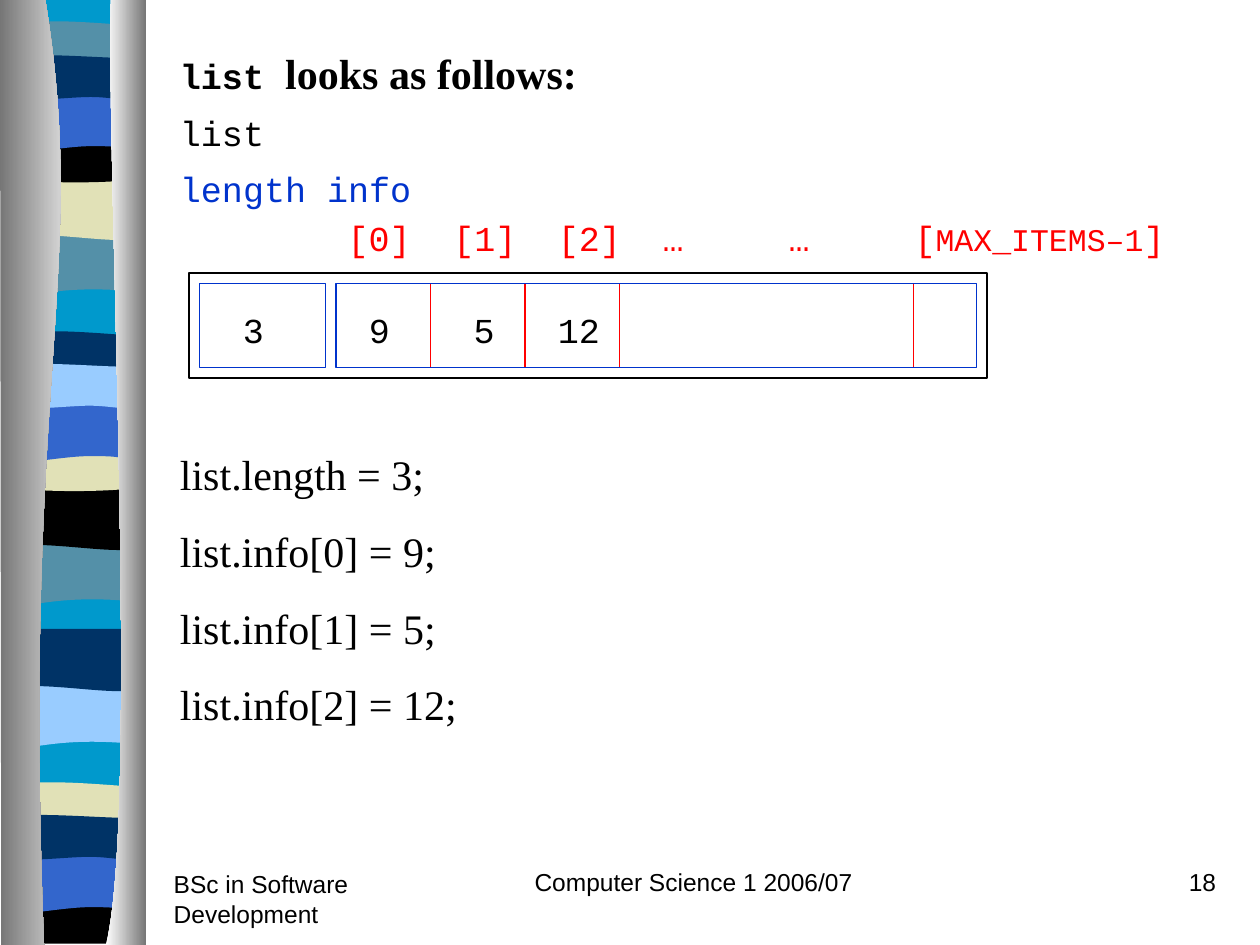
from lxml.etree import SubElement
from pptx import Presentation
from pptx.dml.color import RGBColor
from pptx.enum.shapes import MSO_CONNECTOR, MSO_SHAPE
from pptx.enum.text import MSO_ANCHOR, PP_ALIGN
from pptx.oxml.ns import qn
from pptx.util import Inches, Pt

BLACK = RGBColor(0x00, 0x00, 0x00)
WHITE = RGBColor(0xFF, 0xFF, 0xFF)
RED = RGBColor(0xFF, 0x00, 0x00)
INK_BLUE = RGBColor(0x00, 0x33, 0xCC)
CYAN = RGBColor(0x00, 0x99, 0xCC)
TEAL = RGBColor(0x54, 0x90, 0xA8)
CREAM = RGBColor(0xE1, 0xE1, 0xB7)
BLUE = RGBColor(0x33, 0x66, 0xCC)
NAVY = RGBColor(0x00, 0x33, 0x66)
SKY = RGBColor(0x99, 0xCC, 0xFF)
GREY = RGBColor(0x76, 0x76, 0x76)

MONO, SERIF, SANS = "Courier New", "Times New Roman", "Arial"

# Outlines in inches: two numbers are a corner, six are a Bezier curve.
BANDS = {
    "swell": [(1.14, 1.85), (1.14, 2.32), (0.39, 2.24, 0.24, 2.4, 0.06, 2.32), (0.06, 1.85)],
    "wave": [(1.14, 1.41), (1.14, 1.88), (0.96, 1.96, 0.39, 1.82, 0.06, 1.88), (0.06, 1.41)],
    "thin": [(1.14, 0.21), (1.14, 0.45), (0.96, 0.5, 0.24, 0.5, 0.06, 0.45), (0.06, 0.21),
             (0.13, 0.16, 0.29, 0.17, 0.47, 0.17), (0.65, 0.17, 1, 0.2, 1.14, 0.21)],
    "bowl": [(1.14, 1.08), (1.14, 1.41), (0.96, 1.46, 0.24, 1.46, 0.06, 1.41), (0.06, 1.08),
             (0.72, 1.13, 0.91, 1.08, 1.14, 1.08)],
    "arch": [(1.14, 0.74), (1.14, 1.22), (0.97, 1.16, 0.9, 1.16, 0.72, 1.16),
             (0.54, 1.16, 0.22, 1.22, 0.06, 1.22), (0.06, 0.74)],
    "ripple": [(1.14, 0.46), (1.14, 0.77), (1.07, 0.82, 0.9, 0.77, 0.72, 0.77),
               (0.54, 0.77, 0.17, 0.82, 0.06, 0.77), (0.06, 0.46),
               (0.21, 0.41, 0.79, 0.46, 0.97, 0.46)],
    "foot": [(1.13, 1.08), (1.14, 1.45), (0.07, 1.45), (0.05, 1.08),
             (0.72, 1.13, 0.91, 1.08, 1.13, 1.08)],
}
# Each band: outline, shift down, colour; from back to front
BAND_STACK = [
    ("swell", 0, TEAL), ("wave", 0, CREAM), ("thin", 0, TEAL),
    ("bowl", 0, BLACK), ("arch", 0, BLUE), ("ripple", 0, NAVY),
    ("swell", 2.46, TEAL), ("wave", 2.46, BLACK), ("thin", 2.46, NAVY),
    ("bowl", 2.45, CREAM), ("arch", 2.46, BLUE), ("ripple", 2.45, SKY),
    ("swell", 3.59, SKY), ("wave", 3.58, NAVY), ("thin", 6.04, CREAM),
    ("foot", 6.04, BLACK), ("arch", 6.04, BLUE), ("ripple", 6.03, NAVY),
]
LEFT_EDGE = [(0.36, 0), (0.71, 2.16, 0.17, 2.96, 0.35, 7.5), (0.01, 7.5), (0, 0)]
RIGHT_EDGE = [(0.88, 0), (0.84, 1.25, 1.11, 6.46, 0.84, 7.5), (1.16, 7.5), (1.16, 0)]


def add_outline(page, outline, *colors, right=0, down=0):
    """Filled outline; two colours make a gradient from left to right."""
    points = [(Inches(x + right), Inches(y + down))
              for part in outline for x, y in zip(part[::2], part[1::2])]
    builder = page.shapes.build_freeform(*points[0], scale=1.0)
    builder.add_line_segments(points[1:], close=True)
    shape = builder.convert_to_shape()
    # Join each curve's three points into one Bezier segment
    segments = iter(list(shape._element.iter(qn("a:lnTo"))))
    for part in outline[1:]:
        first = next(segments)
        if len(part) == 6:
            first.tag = qn("a:cubicBezTo")
            for extra in (next(segments), next(segments)):
                first.append(extra[0])
                extra.getparent().remove(extra)
    shape.shadow.inherit = False
    shape.line.fill.background()
    if len(colors) == 1:
        shape.fill.solid()
        shape.fill.fore_color.rgb = colors[0]
    else:
        shape.fill.gradient()
        shape.fill.gradient_angle = 0
        for stop, color in zip(shape.fill.gradient_stops, colors):
            stop.color.rgb = color


def write_para(para, *spans, font=SANS, size=14, color=BLACK, bold=False,
               before=0, spacing=1.0, align=PP_ALIGN.LEFT, tabs=()):
    """Each span is a text, or a text with changes to the format."""
    para.alignment = align
    para.space_before = Pt(before)
    para.line_spacing = spacing
    if tabs:
        stops = SubElement(para._p.get_or_add_pPr(), qn("a:tabLst"))
        for tab in tabs:
            SubElement(stops, qn("a:tab"), pos=str(Inches(tab)), algn="l")
    for item in spans:
        text, changes = (item, {}) if isinstance(item, str) else item
        look = {"font": font, "size": size, "color": color, **changes}
        span = para.add_run()
        span.text = text
        span.font.name = look["font"]
        span.font.size = Pt(look["size"])
        span.font.bold = bold
        span.font.color.rgb = look["color"]


def add_text(page, left, top, width, height):
    """Empty wrapped text box; returns its text frame."""
    box = page.shapes.add_textbox(Inches(left), Inches(top), Inches(width), Inches(height))
    frame = box.text_frame
    frame.word_wrap = True
    frame.vertical_anchor = MSO_ANCHOR.TOP
    return frame


def twelfths(*counts):
    """Lengths on the diagram's grid of a twelfth of an inch."""
    return [Inches(count / 12) for count in counts]


def add_frame(page, left, top, width, height, color):
    shape = page.shapes.add_shape(MSO_SHAPE.RECTANGLE, *twelfths(left, top, width, height))
    shape.shadow.inherit = False
    shape.fill.background()
    shape.line.color.rgb = color
    shape.line.width = Pt(0.75)


def add_divider(page, x, top, bottom):
    line = page.shapes.add_connector(MSO_CONNECTOR.STRAIGHT, *twelfths(x, top, x, bottom))
    line.line.color.rgb = RED
    line.line.width = Pt(0.75)
    SubElement(line._element.spPr, qn("a:effectLst"))


def main():
    deck = Presentation()
    deck.slide_width, deck.slide_height = Inches(10), Inches(7.5)
    page = deck.slides.add_slide(deck.slide_layouts[6])

    # Ribbon on the left
    add_outline(page, [(1.14, 0), (1.14, 7.47), (0.06, 7.47), (0.06, 0)], CYAN)
    for name, down, color in BAND_STACK:
        add_outline(page, BANDS[name], color, right=-0.01 if down else 0, down=down)
    add_outline(page, LEFT_EDGE, GREY, WHITE)
    add_outline(page, RIGHT_EDGE, WHITE, GREY)

    # Footer
    for left, top, width, align, text in (
            (1.28, 6.85, 2.08, PP_ALIGN.LEFT, "BSc in Software Development"),
            (3.92, 6.83, 3.17, PP_ALIGN.CENTER, "Computer Science 1 2006/07"),
            (7.67, 6.83, 2.08, PP_ALIGN.RIGHT, "18")):
        write_para(add_text(page, left, top, width, 0.5).paragraphs[0], text, align=align)

    # Heading, member names, array indexes and values
    body = add_text(page, 1.33, 0.33, 8.25, 6.56)
    code = {"font": MONO, "size": 20}
    write_para(body.paragraphs[0], ("list ", code), "looks as follows:",
               font=SERIF, size=24, bold=True)
    write_para(body.add_paragraph(), "list", before=12.5, spacing=0.8, **code)
    write_para(body.add_paragraph(), "length info", before=12.5, spacing=0.8,
               color=INK_BLUE, **code)
    write_para(body.add_paragraph(), "\t[0]\t[1]\t[2]\t…\t…\t[",
               ("MAX_ITEMS–1", {"size": 18}), "]", before=12.5, spacing=0.6,
               color=RED, tabs=(1.33, 2.17, 3, 3.83, 4.83, 5.83), **code)
    write_para(body.add_paragraph(), "\t3\t9\t5\t12", before=38.6, spacing=0.6,
               tabs=(0.5, 1.5, 2.33, 3), **code)

    # Assignments
    for index, text in enumerate(("list.length = 3;", "list.info[0] = 9;",
                                  "list.info[1] = 5;", "list.info[2] = 12;")):
        write_para(body.add_paragraph(), text, font=SERIF, size=24,
                   before=15 if index else 57)

    # Memory layout: record, length and array cells
    add_frame(page, 18, 26, 76, 10, BLACK)
    add_frame(page, 19, 27, 12, 8, INK_BLUE)
    add_frame(page, 32, 27, 61, 8, INK_BLUE)
    for x in (41, 50, 59, 87):
        add_divider(page, x, 27, 35)

    deck.save("out.pptx")


if __name__ == "__main__":
    main()
